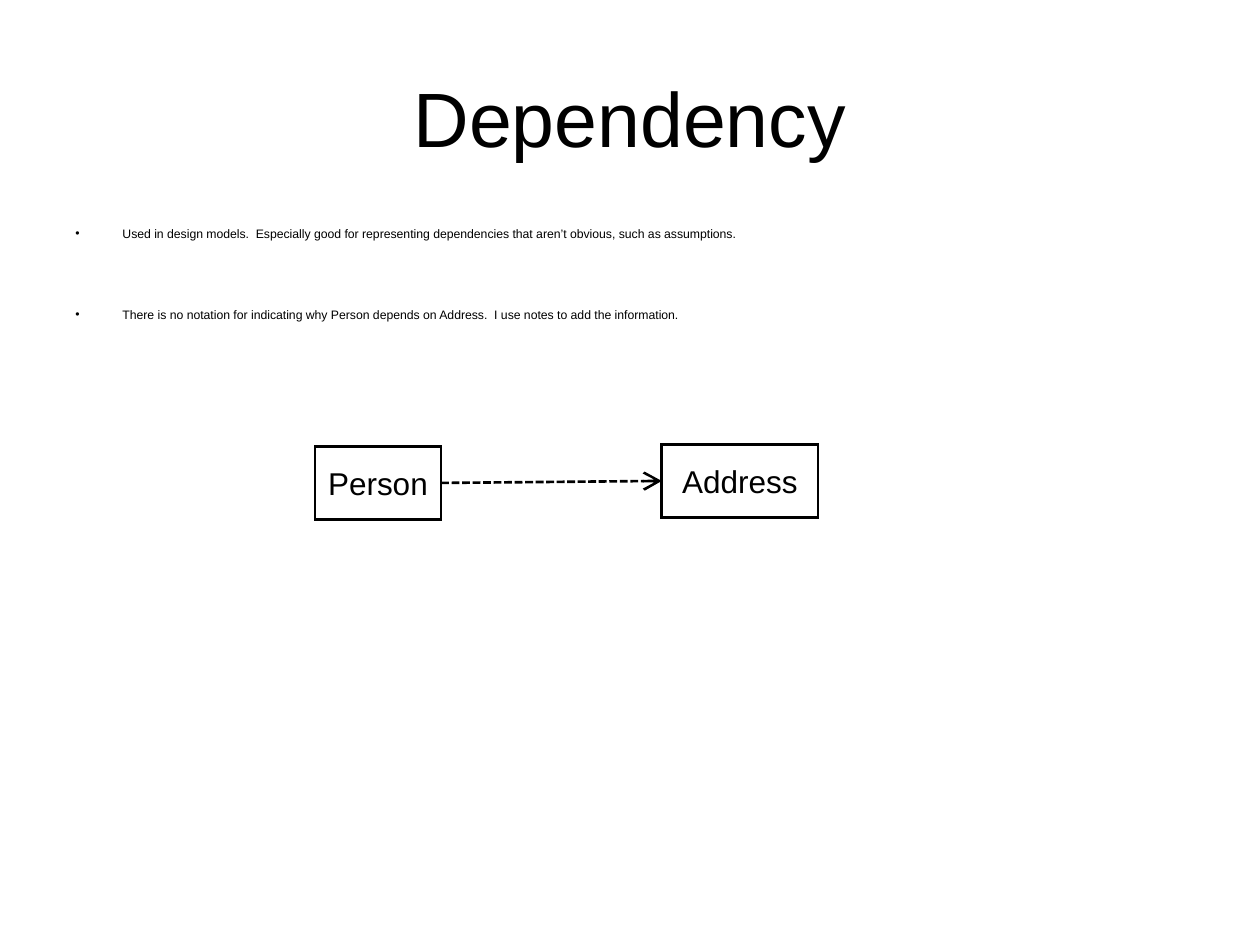
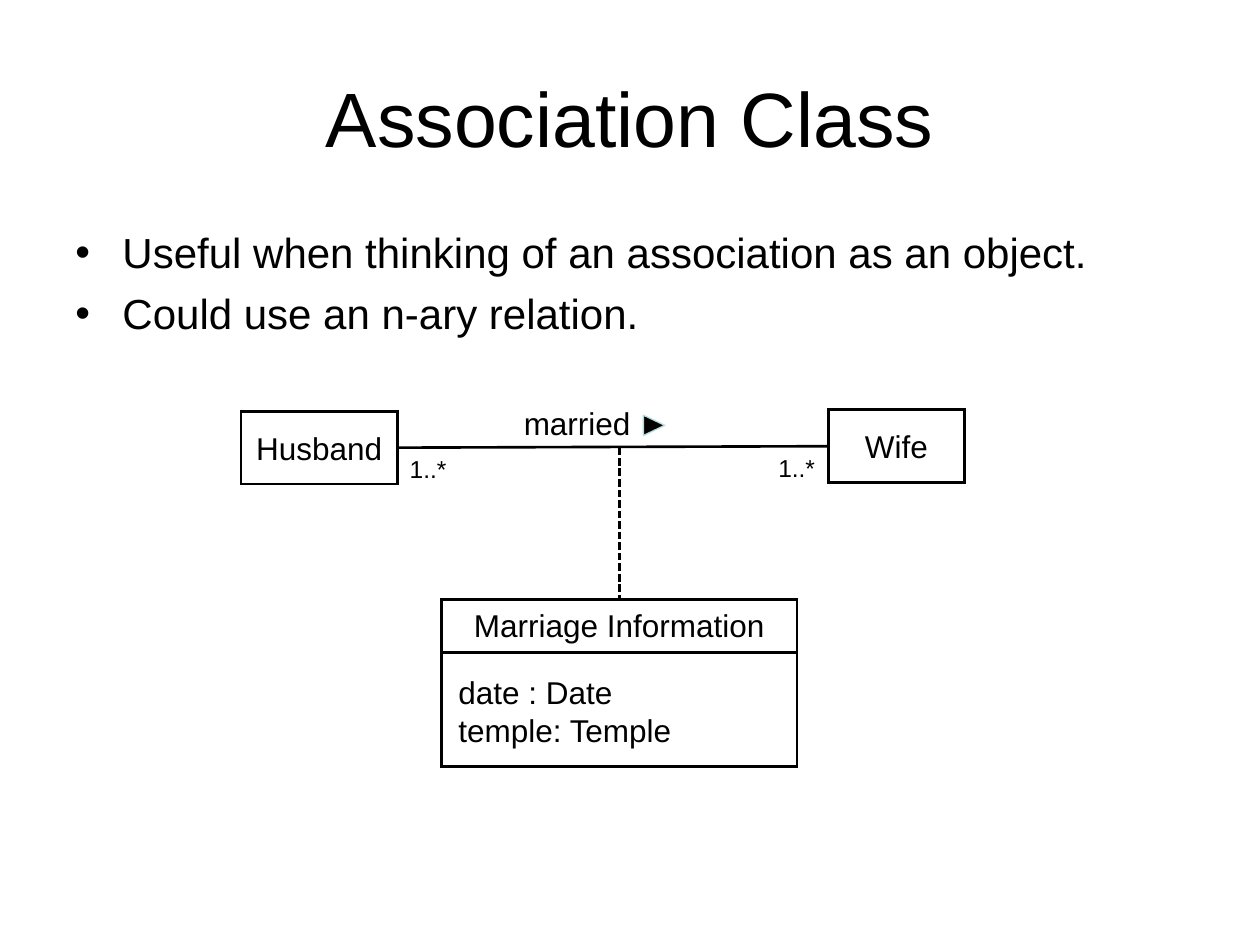
"""Build two UML slides: a dependency and an association class."""
from lxml import etree
from pptx import Presentation, util as u
from pptx.dml.color import RGBColor
from pptx.enum import dml, shapes, text
from pptx.oxml.ns import qn

FONT = "Arial"
HUES = {"ink": "000000", "edge": "B6DCDF"}
LEFT, WIDE = 1.27, 22.86
TITLE = (LEFT, 0.76, WIDE, 3.18)
INDENT = 0.95
MID, TOP = text.MSO_ANCHOR.MIDDLE, text.MSO_ANCHOR.TOP
MARK = "1..*"

SLIDES = [
    {
        "title": "Dependency",
        "size": 7,
        "body": (LEFT, 4.43, WIDE, 3.61),
        "points": [
            ("Used in design models.  Especially good for representing "
             "dependencies that aren’t obvious, such as assumptions.", 7),
            ("There is no notation for indicating why Person depends on "
             "Address.  I use notes to add the information.", 38),
        ],
        "boxes": {
            "Person": (6.35, 9, 2.54, 1.47, MID),
            "Address": (13.34, 8.96, 3.15, 1.47, MID),
        },
        "links": [("Person", "Address", True)],
    },
    {
        "title": "Association Class",
        "size": 24,
        "body": (LEFT, 4.45, WIDE, 2.74),
        "points": [
            ("Useful when thinking of an association as an object.", 6),
            ("Could use an n-ary relation.", 6),
        ],
        "boxes": {
            "Husband": (4.86, 8.29, 3.15, 1.47, MID),
            "Wife": (16.7, 8.26, 2.74, 1.47, MID),
            "Marriage Information": (8.9, 12.09, 7.17, 3.36, TOP),
        },
        "links": [("Husband", "Wife", False)],
        "labels": [
            ([MARK], 14, (15.44, 9, 1.4, 0.86)),
            ([MARK], 14, (8.01, 9.02, 1.4, 0.86)),
            (["married"], 18, (10.31, 8.03, 3, 1.02)),
            (["date : Date", "temple: Temple"], 18, (8.99, 13.44, 5.2, 2.54)),
        ],
        "arrow": (12.98, 8.36, 0.41, 0.43),
        "class": ("Marriage Information", 9.02, 13.15),
    },
]


def hue(name):
    return RGBColor.from_string(HUES[name])


def cms(nums):
    return [u.Cm(n) for n in nums]


def write(frame, lines, size, align=text.PP_ALIGN.LEFT, anchor=TOP):
    frame.word_wrap = True
    frame.vertical_anchor = anchor
    for num, line in enumerate(lines):
        para = frame.add_paragraph() if num else frame.paragraphs[0]
        para.alignment = align
        run = para.add_run()
        run.text = line
        run.font.name, run.font.size = FONT, u.Pt(size)
        run.font.color.rgb = hue("ink")
    return frame.paragraphs


def label(slide, lines, size, place, **opts):
    frame = slide.shapes.add_textbox(*cms(place)).text_frame
    return write(frame, lines, size, **opts)


def bullets(slide, points, size, place):
    paras = label(slide, [words for words, gap in points], size, place)
    for para, (words, gap) in zip(paras, points):
        para.space_before = u.Pt(gap)
        props = para._p.get_or_add_pPr()
        props.set("marL", str(u.Cm(INDENT)))
        props.set("indent", str(-u.Cm(INDENT)))
        etree.SubElement(props, qn("a:buFont"), typeface=FONT)
        etree.SubElement(props, qn("a:buChar"), char="•")


def box(slide, name, place, anchor):
    rect = slide.shapes.add_shape(shapes.MSO_SHAPE.RECTANGLE, *cms(place))
    rect.shadow.inherit = False
    rect.fill.background()
    rect.line.color.rgb, rect.line.width = hue("ink"), u.Pt(1.5)
    etree.SubElement(rect.line._get_or_add_ln(), qn("a:miter"), lim="800000")
    frame = rect.text_frame
    frame.margin_left = frame.margin_right = u.Cm(0.1)
    write(frame, [name], 18, text.PP_ALIGN.CENTER, anchor)
    return rect


def link(slide, ends=(0, 0, 0, 0), dash=False, head=False):
    line = slide.shapes.add_connector(shapes.MSO_CONNECTOR.STRAIGHT, *cms(ends))
    line.line.color.rgb, line.line.width = hue("ink"), u.Pt(1.5)
    if dash:
        line.line.dash_style = dml.MSO_LINE.SQUARE_DOT
    if head:
        etree.SubElement(line.line._get_or_add_ln(), qn("a:tailEnd"),
                         type="arrow", w="lg", len="lg")
    etree.SubElement(line._element.spPr, qn("a:effectLst"))
    return line


def arrow(slide, place):
    tip = slide.shapes.add_shape(shapes.MSO_SHAPE.ISOSCELES_TRIANGLE, *cms(place))
    tip.shadow.inherit = False
    tip.rotation = 90
    tip.fill.solid()
    tip.fill.fore_color.rgb = hue("ink")
    tip.line.color.rgb, tip.line.width = hue("edge"), u.Pt(0.75)


def draw(slide, data):
    label(slide, [data["title"]], 44, TITLE,
          align=text.PP_ALIGN.CENTER, anchor=MID)
    bullets(slide, data["points"], data["size"], data["body"])
    rects = {name: box(slide, name, place, anchor)
             for name, (*place, anchor) in data["boxes"].items()}
    for start, end, needs in data["links"]:
        line = link(slide, dash=needs, head=needs)
        line.begin_connect(rects[start], 3)
        line.end_connect(rects[end], 1)
    for lines, size, place in data.get("labels", []):
        label(slide, lines, size, place)
    if "arrow" in data:
        arrow(slide, data["arrow"])
    if "class" in data:
        name, start, rule = data["class"]
        left, top, wide = data["boxes"][name][:3]
        mid = left + wide / 2
        link(slide, (left, rule, left + wide, rule))
        link(slide, (mid, start, mid, top), dash=True).end_connect(rects[name], 0)


def main():
    deck = Presentation()
    deck.slide_width, deck.slide_height = cms((25.4, 19.05))
    for data in SLIDES:
        draw(deck.slides.add_slide(deck.slide_layouts[6]), data)
    deck.save("out.pptx")


if __name__ == "__main__":
    main()
